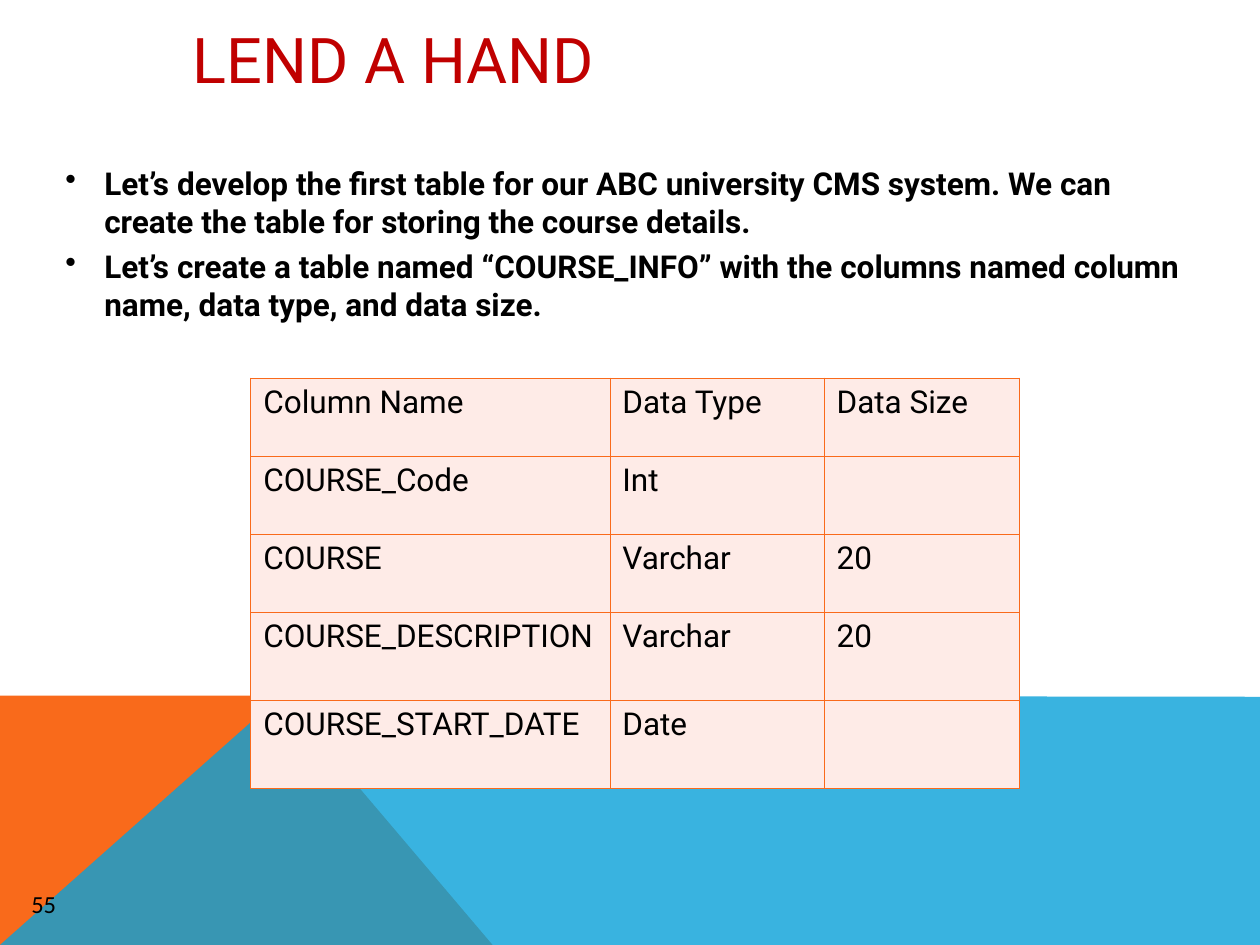
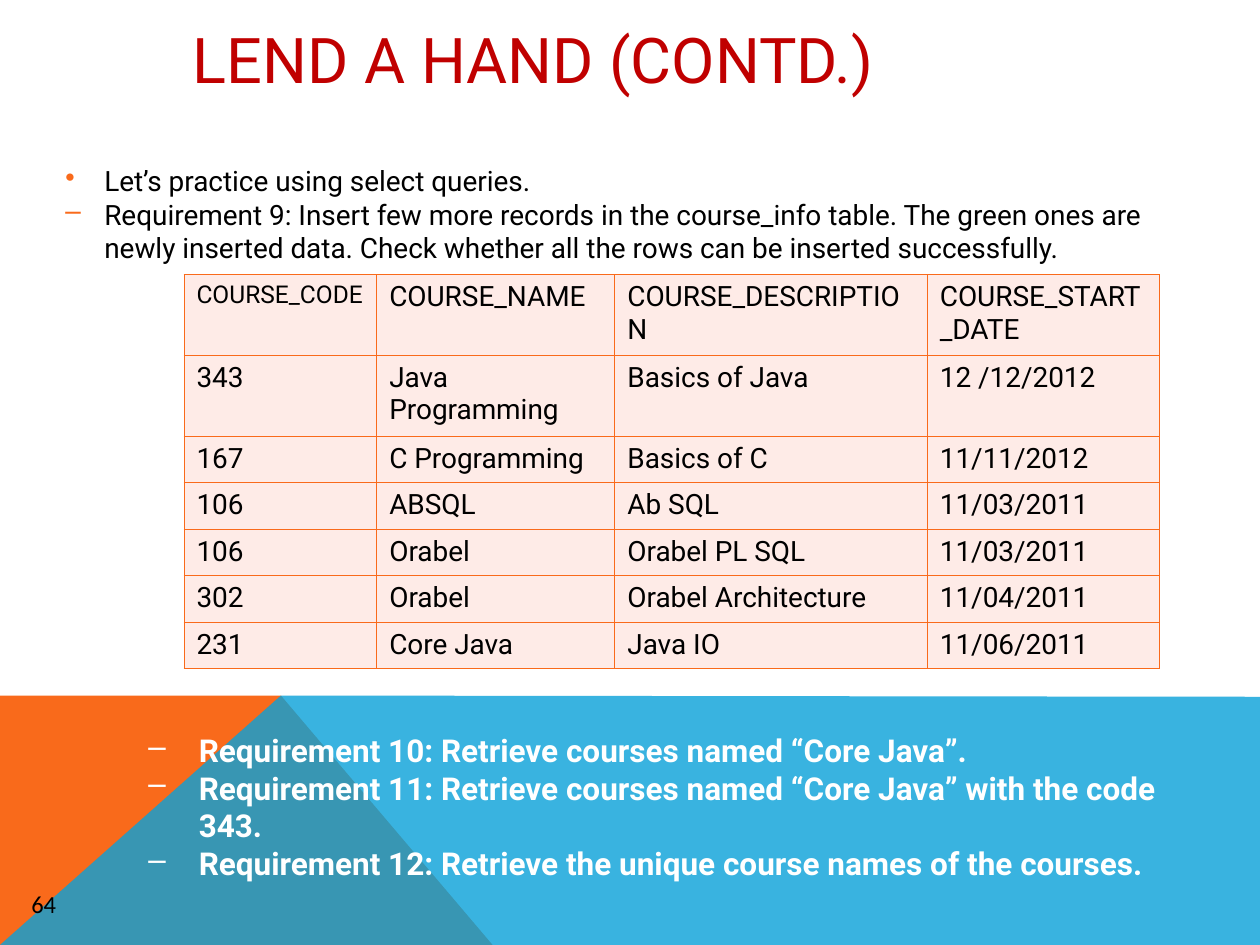
from lxml.etree import SubElement
from pptx import Presentation
from pptx.dml.color import RGBColor
from pptx.enum.text import MSO_ANCHOR, MSO_AUTO_SIZE, PP_ALIGN
from pptx.oxml.ns import qn
from pptx.util import Inches, Pt

ORANGE = RGBColor(0xF9, 0x6A, 0x1B)
BLUE = RGBColor(0x08, 0xA1, 0xD9)
RED = RGBColor(0xC0, 0x00, 0x00)
PINK = RGBColor(0xFE, 0xEB, 0xE7)
BLACK = RGBColor(0x00, 0x00, 0x00)
WHITE = RGBColor(0xFF, 0xFF, 0xFF)

TITLE_ONLY = 5
TITLE_BOX = (1.43, 0, 8.57, 0.92)
NUMBER_BOX = (0.15, 7.01, 0.5, 0.3)
BAND_TOP, BAND_PEAK, BAND_FOOT = 5.52, 2.23, 3.91
PAGE_WIDTH, PAGE_HEIGHT = 10, 7.5

COLUMN_ROWS = [
    ("Column Name", "Data Type", "Data Size"),
    ("COURSE_Code", "Int", ""),
    ("COURSE", "Varchar", "20"),
    ("COURSE_DESCRIPTION", "Varchar", "20"),
    ("COURSE_START_DATE", "Date", ""),
]
COURSE_ROWS = [
    ("COURSE_CODE", "COURSE_NAME", "COURSE_DESCRIPTION", "COURSE_START_DATE"),
    ("343", "Java Programming", "Basics of Java", "12 /12/2012"),
    ("167", "C Programming", "Basics of C", "11/11/2012"),
    ("106", "ABSQL", "Ab SQL", "11/03/2011"),
    ("106", "Orabel", "Orabel PL SQL", "11/03/2011"),
    ("302", "Orabel", "Orabel Architecture", "11/04/2011"),
    ("231", "Core Java", "Java IO", "11/06/2011"),
]


def write(para, text, size=18, color=BLACK, bold=False, font="Roboto"):
    span = para.add_run()
    span.text = text
    span.font.size = Pt(size)
    span.font.color.rgb = color
    span.font.bold = bold
    span.font.name = font


def set_bullet(para, symbol, color, indent, hanging):
    properties = para._p.get_or_add_pPr()
    properties.set("marL", str(Inches(indent)))
    properties.set("indent", str(-Inches(hanging)))
    bullet_color = SubElement(properties, qn("a:buClr"))
    SubElement(bullet_color, qn("a:srgbClr"), val=str(color))
    SubElement(properties, qn("a:buChar"), char=symbol)


def add_text_box(page, box):
    frame = page.shapes.add_textbox(*map(Inches, box)).text_frame
    frame.word_wrap = True
    return frame


def add_bullets(page, box, items, bullet_color, indent=0.31, hanging=0.31,
                level=0, **text_format):
    """Fill a box with (symbol, space before, text) items."""
    frame = add_text_box(page, box)
    for index, (symbol, space, text) in enumerate(items):
        para = frame.add_paragraph() if index else frame.paragraphs[0]
        para.level = level
        para.space_before = Pt(space)
        set_bullet(para, symbol, bullet_color, indent, hanging)
        write(para, text, **text_format)


def add_band(page, points, color, opacity=None):
    corners = [(Inches(x), Inches(y)) for x, y in points]
    builder = page.shapes.build_freeform(*corners[0])
    builder.add_line_segments(corners[1:], close=True)
    band = builder.convert_to_shape()
    band.shadow.inherit = False
    band.line.fill.background()
    band.fill.solid()
    band.fill.fore_color.rgb = color
    if opacity:
        fill_color = band._element.spPr.find(qn("a:solidFill"))[0]
        SubElement(fill_color, qn("a:alpha"), val=str(opacity * 1000))


def add_page(deck, title):
    """Add a page with the shared bands and title."""
    page = deck.slides.add_slide(deck.slide_layouts[TITLE_ONLY])
    foot_left, peak = (0, PAGE_HEIGHT), (BAND_PEAK, BAND_TOP)
    add_band(page, [foot_left, (0, BAND_TOP), peak, (BAND_FOOT, PAGE_HEIGHT)], ORANGE)
    add_band(page, [foot_left, peak, (PAGE_WIDTH, BAND_TOP + 0.01),
                    (PAGE_WIDTH, PAGE_HEIGHT)], BLUE, opacity=80)

    heading = page.shapes.title
    heading.left, heading.top, heading.width, heading.height = map(Inches, TITLE_BOX)
    frame = heading.text_frame
    frame.auto_size = MSO_AUTO_SIZE.NONE
    frame.vertical_anchor = MSO_ANCHOR.MIDDLE
    frame.paragraphs[0].alignment = PP_ALIGN.LEFT
    write(frame.paragraphs[0], title, size=36, color=RED)
    return page


def add_page_number(page, number):
    frame = add_text_box(page, NUMBER_BOX)
    write(frame.paragraphs[0], str(number), size=14, font="Calibri")


def style_cell(cell):
    properties = cell._tc.get_or_add_tcPr()
    for side in ("a:lnL", "a:lnR", "a:lnT", "a:lnB"):
        border = SubElement(properties, qn(side), w=str(Pt(0.45)))
        fill = SubElement(border, qn("a:solidFill"))
        SubElement(fill, qn("a:srgbClr"), val=str(ORANGE))
    cell.fill.solid()
    cell.fill.fore_color.rgb = PINK


def add_grid(page, left, top, widths, heights, rows, size, first_size=None):
    """Draw a table; first_size sets the text size of its first cell."""
    table = page.shapes.add_table(
        len(heights), len(widths), Inches(left), Inches(top),
        Inches(sum(widths)), Inches(sum(heights))).table
    table.first_row = table.horz_banding = False
    for column, width in zip(table.columns, widths):
        column.width = Inches(width)
    for row, height, texts in zip(table.rows, heights, rows):
        row.height = Inches(height)
        for cell, text in zip(row.cells, texts):
            style_cell(cell)
            if text:
                is_first = text == rows[0][0]
                write(cell.text_frame.paragraphs[0], text,
                      size=first_size if is_first and first_size else size)


def add_table_design_page(deck):
    page = add_page(deck, "LEND A HAND")
    add_bullets(page, (0.42, 1.25, 9.17, 5.41), [
        ("•", 4.5, "Let’s develop the first table for our ABC university CMS system. "
                   "We can create the table for storing the course details."),
        ("•", 4.5, "Let’s create a table named “COURSE_INFO” with the columns named "
                   "column name, data type, and data size."),
    ], BLACK, bold=True)
    add_grid(page, 1.99, 3, [2.85, 1.7, 1.55], [0.62] * 3 + [0.7] * 2,
             COLUMN_ROWS, size=18)
    add_page_number(page, 55)


def add_queries_page(deck):
    page = add_page(deck, "LEND A HAND (CONTD.)")
    add_bullets(page, (0.42, 1.25, 9.17, 1.25), [
        ("•", 4, "Let’s practice using select queries."),
        ("–", 0, "Requirement 9: Insert few more records in the course_info table. "
                 "The green ones are newly inserted data. Check whether all the rows "
                 "can be inserted successfully."),
    ], ORANGE, level=1, size=16)
    add_grid(page, 1.46, 2.18, [1.53, 1.89, 2.48, 1.84], [0.64] * 2 + [0.37] * 5,
             COURSE_ROWS, size=16, first_size=14)
    add_bullets(page, (0.58, 5.75, 9.17, 1.25), [
        ("–", 0, "Requirement 10: Retrieve courses named “Core Java”."),
        ("–", 0, "Requirement 11: Retrieve courses named “Core Java” with the code 343."),
        ("–", 0, "Requirement 12: Retrieve the unique course names of the courses."),
    ], WHITE, indent=0.9, hanging=0.4, level=1, color=WHITE, bold=True)
    add_page_number(page, 64)


def main():
    deck = Presentation()
    deck.slide_width, deck.slide_height = Inches(PAGE_WIDTH), Inches(PAGE_HEIGHT)
    add_table_design_page(deck)
    add_queries_page(deck)
    deck.save("out.pptx")


if __name__ == "__main__":
    main()
